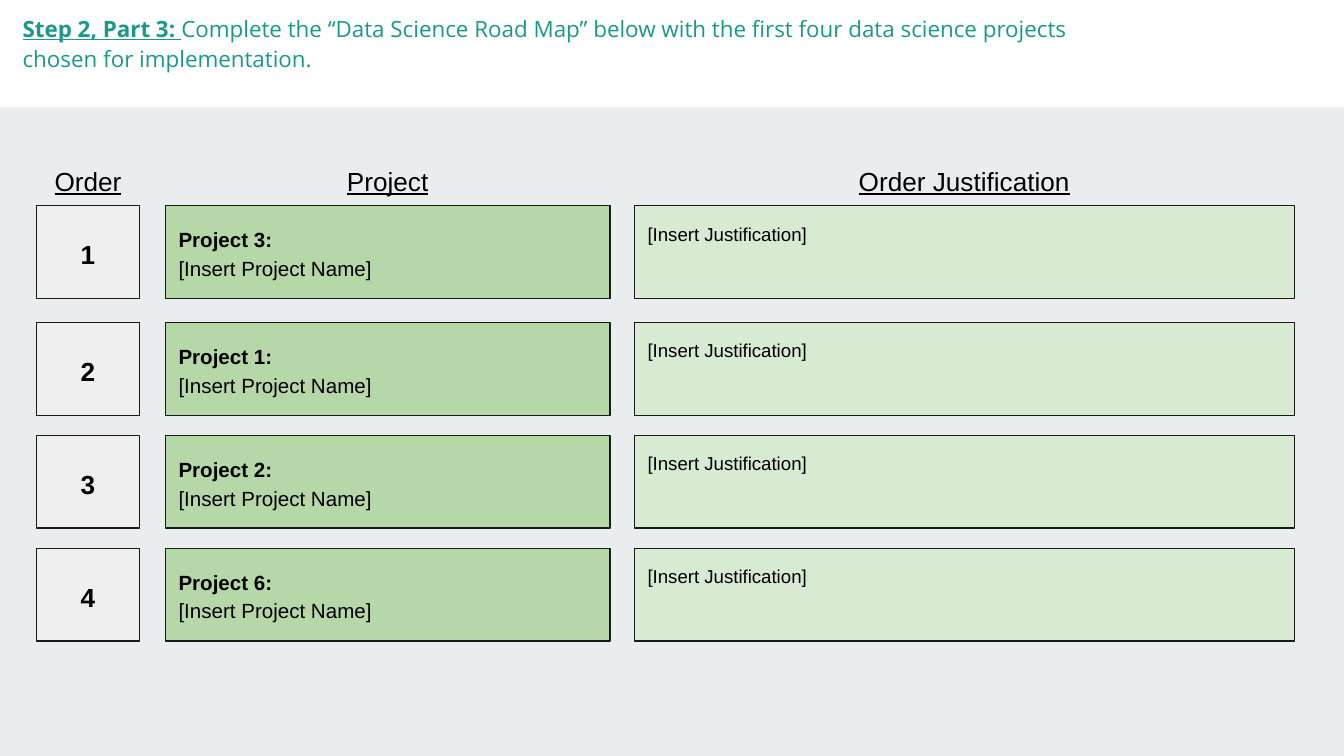
from pptx import Presentation
from pptx.dml.color import RGBColor
from pptx.enum import shapes, text
from pptx.util import Inches, Pt

BLACK = "000000"
COLUMNS = {
    "Order": {"left": 0.27, "width": 0.77, "heading_width": 0.77},
    "Project": {"left": 1.23, "width": 3.31, "heading_width": 0.96},
    "Order Justification": {"left": 4.72, "width": 4.91, "heading_width": 1.9},
}
ROW_TOPS = [1.53, 2.4, 3.24, 4.08]
ROW_HEIGHT = 0.69
PROJECTS = ["Project 3:", "Project 1:", "Project 2:", "Project 6:"]


def color(value):
    return RGBColor.from_string(value)


def write(shape, paragraphs, font, align="LEFT", anchor="MIDDLE", spacing=1.15):
    frame = shape.text_frame
    settings = {"word_wrap": True, "vertical_anchor": text.MSO_ANCHOR[anchor]}
    for side in ("left", "top", "right", "bottom"):
        settings[f"margin_{side}"] = Inches(0.1)
    for name, value in settings.items():
        setattr(frame, name, value)
    for index, runs in enumerate(paragraphs):
        paragraph = frame.add_paragraph() if index else frame.paragraphs[0]
        paragraph.alignment = text.PP_ALIGN[align]
        paragraph.line_spacing = spacing
        for content, changes in runs:
            run = paragraph.add_run()
            run.text = content
            values = {"name": "Arial", "color": BLACK, **font, **changes}
            run.font.color.rgb = color(values.pop("color"))
            run.font.size = Pt(values.pop("size"))
            for name, value in values.items():
                setattr(run.font, name, value)


def add_box(slide, box, fill, line=None):
    shape = slide.shapes.add_shape(shapes.MSO_SHAPE.RECTANGLE, *map(Inches, box))
    shape.shadow.inherit = False
    shape.fill.solid()
    shape.fill.fore_color.rgb = color(fill)
    if line:
        shape.line.color.rgb = color(line)
        shape.line.width = Pt(0.75)
    else:
        shape.line.fill.background()
    return shape


def add_title_band(slide, box):
    left, top, width, height = box
    add_box(slide, box, "FFFFFF")
    title = slide.shapes.add_textbox(
        *map(Inches, (left + 0.07, top - 0.02, 8.44, 0.37)))
    runs = [
        ("Step 2, Part 3: ", {"bold": True, "underline": True}),
        ("Complete the “Data Science Road Map” below with the first four "
         "data science projects chosen for implementation.", {}),
    ]
    write(title, [runs], {"name": "Open Sans", "size": 12, "color": "1A9988"},
          anchor="TOP")


def add_headings(slide, top, height):
    for heading, column in COLUMNS.items():
        width = column["heading_width"]
        left = column["left"] + (column["width"] - width) / 2
        label = slide.shapes.add_textbox(
            *map(Inches, (left, top, width, height)))
        write(label, [[(heading, {})]], {"size": 14, "underline": True},
              align="CENTER", spacing=1.0)


def add_road_map_row(slide, top, height, order, project):
    cells = [
        ("EFEFEF", [[(str(order), {"bold": True})]], 14, "CENTER", "MIDDLE"),
        ("B6D7A8", [[(project, {"bold": True})], [("[Insert Project Name]", {})]],
         11, "LEFT", "MIDDLE"),
        ("D9EAD3", [[("[Insert Justification]", {})]], 10, "LEFT", "TOP"),
    ]
    for column, cell in zip(COLUMNS.values(), cells):
        fill, paragraphs, size, align, anchor = cell
        box = (column["left"], top, column["width"], height)
        shape = add_box(slide, box, fill, "1A1A1A")
        write(shape, paragraphs, {"size": size}, align, anchor)


def main():
    presentation = Presentation()
    presentation.slide_width = Inches(10)
    presentation.slide_height = presentation.slide_width * 9 // 16
    slide = presentation.slides.add_slide(presentation.slide_layouts[6])
    slide.background.fill.solid()
    slide.background.fill.fore_color.rgb = color("E9EDEE")
    add_title_band(slide, (0, 0, 10, 0.8))
    add_headings(slide, 1.16, 0.37)
    for order, (top, project) in enumerate(zip(ROW_TOPS, PROJECTS), 1):
        add_road_map_row(slide, top, ROW_HEIGHT, order, project)
    presentation.save("out.pptx")


if __name__ == "__main__":
    main()
